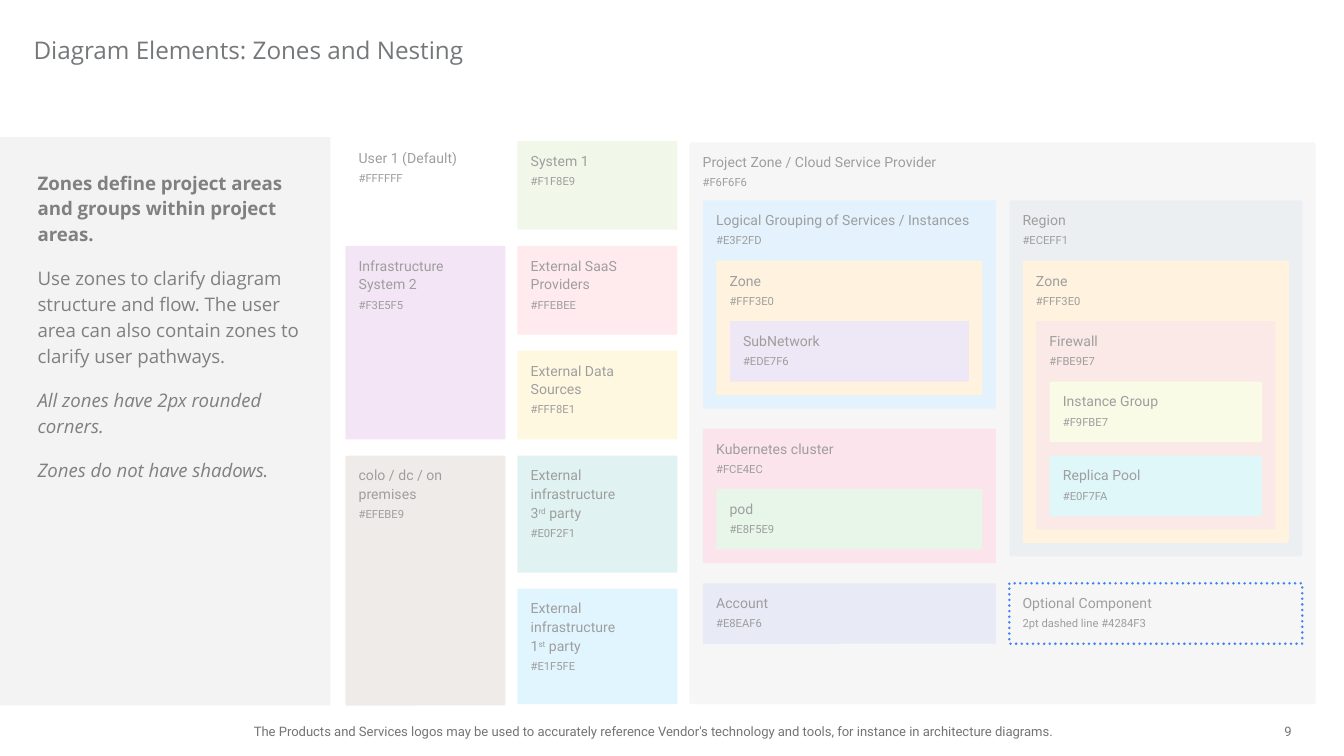
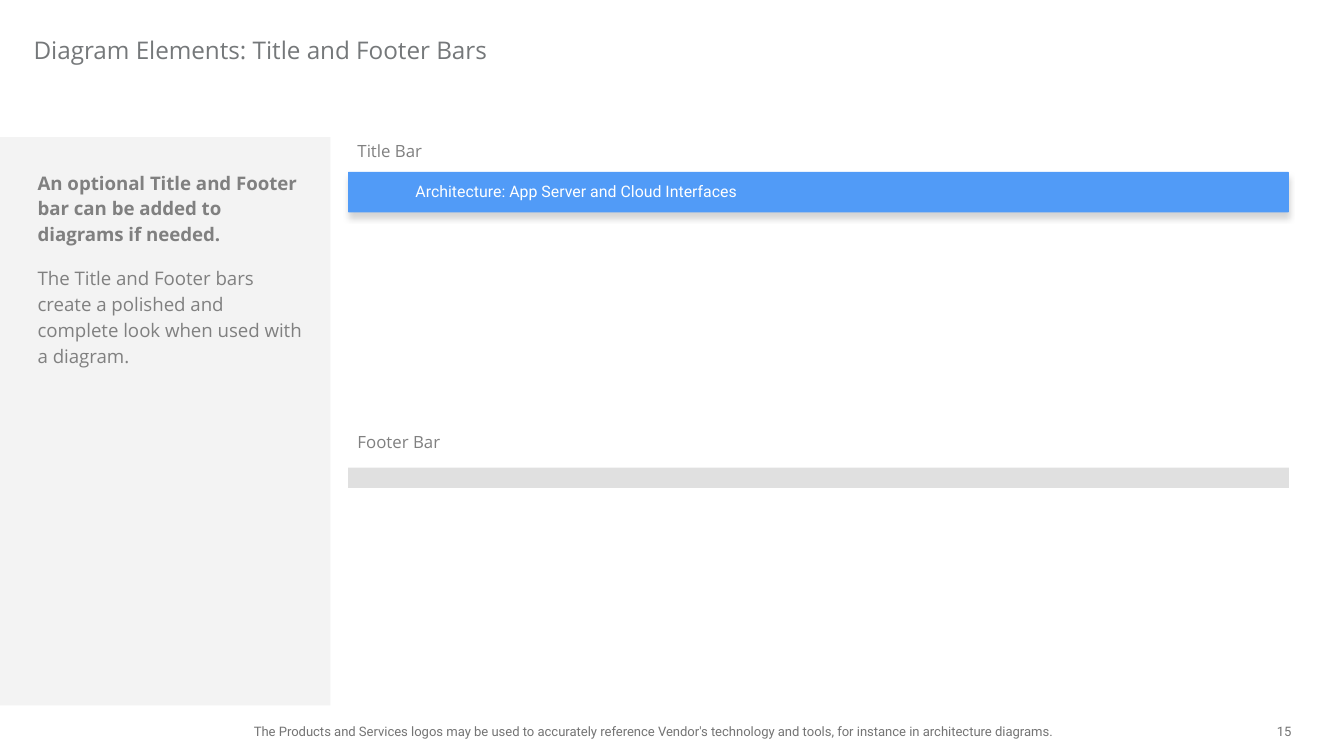
from lxml import etree
from pptx import Presentation, util as u
from pptx.dml.color import RGBColor
from pptx.enum import dml, shapes, text
from pptx.oxml.ns import qn

WIDTH = 10
HEIGHT = WIDTH * 9 / 16
COLOURS = {
    "title": "75787A", "body": "808080", "footer": "747474", "label": "9E9E9E",
    "panel": "F3F3F3", "title bar": "519BF7", "footer bar": "E0E0E0",
    "bar text": "FFFFFF", "shadow": "000000", "dots": "4284F3",
    "user": "FFFFFF", "infrastructure": "F3E5F5", "premises": "EFEBE9",
    "system": "F1F8E9", "saas": "FFEBEE", "data": "FFF8E1",
    "third party": "E0F2F1", "first party": "E1F5FE", "provider": "F6F6F6",
    "grouping": "E3F2FD", "zone": "FFF3E0", "subnetwork": "EDE7F6",
    "cluster": "FCE4EC", "pod": "E8F5E9", "account": "E8EAF6",
    "region": "ECEFF1", "firewall": "FBE9E7", "instances": "F9FBE7",
    "replicas": "E0F7FA",
}
FOOTER = ("The Products and Services logos may be used to accurately reference Vendor's "
          "technology and tools, for instance in architecture diagrams.")

# Guidance paragraphs: (text, style)
ZONES_TITLE = "Diagram Elements: Zones and Nesting"
ZONES_GUIDE = [
    ("Zones define project areas and groups within project areas.", "bold"),
    ("Use zones to clarify diagram structure and flow. The user area can also "
     "contain zones to clarify user pathways.", "plain"),
    ("All zones have 2px rounded corners.", "italic"),
    ("Zones do not have shadows.", "italic"),
]
BARS_TITLE = "Diagram Elements: Title and Footer Bars"
BARS_GUIDE = [
    ("An optional Title and Footer bar can be added to diagrams if needed.", "bold"),
    ("The Title and Footer bars create a polished and complete look when used "
     "with a diagram.", "plain"),
]
BAR_TEXT = "Architecture: App Server and Cloud Interfaces"

# Flat zones: (top, [(label, colour, height)]); ^ marks superscript
FLAT_COLUMNS = [
    (1.03, [("User 1 (Default)", "user", 0.68),
            ("Infrastructure\nSystem 2", "infrastructure", 1.44),
            ("colo / dc / on\npremises", "premises", 1.86)]),
    (1.05, [("System 1", "system", 0.66),
            ("External SaaS\nProviders", "saas", 0.66),
            ("External Data\nSources", "data", 0.66),
            ("External\ninfrastructure\n3^rd^ party", "third party", 0.87),
            ("External\ninfrastructure\n1^st^ party", "first party", 0.86)]),
]
# Nested zones: (gap, [(label, colour, children)])
NESTED_COLUMNS = [
    (0.15, [("Logical Grouping of Services / Instances", "grouping", [
                ("Zone", "zone", [("SubNetwork", "subnetwork", [])])]),
            ("Kubernetes cluster", "cluster", [("pod", "pod", [])]),
            ("Account", "account", [])]),
    (0.2, [("Region", "region", [
                ("Zone", "zone", [
                    ("Firewall", "firewall", [
                        ("Instance Group", "instances", []),
                        ("Replica Pool", "replicas", [])])])]),
           ("Optional Component", None, [])]),
]
FLAT_LEFT, FLAT_WIDTH, FLAT_PITCH, FLAT_GAP = 2.57, 1.19, 1.28, 0.12
PROVIDER = (5.13, 1.06, 4.66, 4.18)
NESTED_TOP, HEADER, PAD = 1.49, 0.45, 0.1
LABEL_INSET, LABEL_LINE = 0.07, 0.14
BAR_LEFT, BAR_WIDTH = 2.59, 7


def rgb(name):
    return RGBColor.from_string(COLOURS[name])


def inches(*lengths):
    return [u.Inches(length) for length in lengths]


def set_frame(frame, insets, anchor=text.MSO_ANCHOR.TOP):
    frame.auto_size = text.MSO_AUTO_SIZE.NONE
    frame.word_wrap = True
    frame.vertical_anchor = anchor
    (frame.margin_left, frame.margin_top,
     frame.margin_right, frame.margin_bottom) = inches(*insets)


def style(runs, font, size, colour):
    for run in runs:
        run.font.name, run.font.size = font, u.Pt(size)
        run.font.color.rgb = rgb(colour)


def place(shape, box):
    shape.left, shape.top, shape.width, shape.height = inches(*box)


def add_block(slide, box, colour, rounding=None):
    """Add a flat rectangle, rounded if asked; no colour leaves it unfilled."""
    kind = (shapes.MSO_SHAPE.RECTANGLE if rounding is None
            else shapes.MSO_SHAPE.ROUNDED_RECTANGLE)
    block = slide.shapes.add_shape(kind, *inches(*box))
    if rounding is not None:
        block.adjustments[0] = rounding
    block.shadow.inherit = False
    block.line.fill.background()
    if colour:
        block.fill.solid()
        block.fill.fore_color.rgb = rgb(colour)
    else:
        block.fill.background()
    return block


def add_line(slide, box, words, font, size, colour, inset=0,
             align=text.PP_ALIGN.LEFT, anchor=text.MSO_ANCHOR.TOP):
    """Add a text box holding one paragraph."""
    frame = slide.shapes.add_textbox(*inches(*box)).text_frame
    set_frame(frame, [inset] * 4, anchor)
    frame.text = words
    frame.paragraphs[0].alignment = align
    style(frame.paragraphs[0].runs, font, size, colour)


def add_guide_slide(deck, title, guide, number):
    """Add a slide with the shared title, side panel, guidance and footer."""
    slide = deck.slides.add_slide(deck.slide_layouts[1])
    panel = add_block(slide, (0, 1.02, 2.46, 4.23), "panel")
    slide.shapes._spTree.insert(2, panel._element)

    heading, body = slide.placeholders
    place(heading, (0.15, 0, 9.65, 0.58))
    set_frame(heading.text_frame, [0.1] * 4, text.MSO_ANCHOR.BOTTOM)
    heading.text_frame.text = title
    title_line = heading.text_frame.paragraphs[0]
    title_line.alignment, title_line.line_spacing = text.PP_ALIGN.LEFT, 1.15
    style(title_line.runs, "Open Sans", 13, "title")

    place(body, (0.18, 1.15, 2.18, 2.63))
    set_frame(body.text_frame, [0.1] * 4)
    body.text_frame.text = "\n".join(words for words, _ in guide)
    for i, (paragraph, (_, look)) in enumerate(zip(body.text_frame.paragraphs, guide)):
        paragraph.line_spacing = 1.15
        paragraph.space_before = u.Pt(10 if i else 0)
        properties = paragraph._p.get_or_add_pPr()
        properties.set("marL", "0")
        properties.set("indent", "0")
        etree.SubElement(properties, qn("a:buNone"))
        style(paragraph.runs, "Open Sans", 10, "body")
        for run in paragraph.runs:
            run.font.bold, run.font.italic = look == "bold", look == "italic"

    middle = text.MSO_ANCHOR.MIDDLE
    add_line(slide, (0.4, 5.4, 8.92, 0.08), FOOTER, "Roboto", 7, "footer",
             align=text.PP_ALIGN.CENTER, anchor=middle)
    add_line(slide, (9.17, 5.4, 0.44, 0.08), str(number), "Roboto", 7, "footer",
             align=text.PP_ALIGN.RIGHT, anchor=middle)
    return slide


def add_label(slide, left, top, width, label, caption):
    """Add a zone's name with its smaller caption on the line below."""
    lines = label.split("\n")
    height = LABEL_INSET + LABEL_LINE * (len(lines) + 1)
    frame = slide.shapes.add_textbox(*inches(left, top, width, height)).text_frame
    set_frame(frame, (0.1, LABEL_INSET, 0, 0))
    paragraph = frame.paragraphs[0]
    paragraph.line_spacing = u.Pt(10)
    for line in lines:
        for i, piece in enumerate(line.split("^")):
            run = paragraph.add_run()
            run.text = piece
            if i % 2:
                run.font._element.set("baseline", "30000")
        paragraph.add_line_break()
    style(paragraph.runs, "Roboto", 7.5, "label")
    small = paragraph.add_run()
    small.text = caption
    style([small], "Roboto", 6, "label")


def add_zone(slide, box, label, colour, rounding=0.008):
    """Add a labelled zone; one without a colour gets a dotted outline."""
    zone = add_block(slide, box, colour, rounding)
    caption = f"#{COLOURS[colour]}" if colour else f"2pt dashed line #{COLOURS['dots']}"
    if not colour:
        zone.line.color.rgb = rgb("dots")
        zone.line.width = u.Pt(1.5)
        zone.line.dash_style = dml.MSO_LINE.ROUND_DOT
        zone._element.spPr.find(qn("a:ln")).set("cap", "rnd")
    add_label(slide, *box[:3], label, caption)


def nested_height(children):
    """Height of a zone: its header, then each child followed by padding."""
    return HEADER + sum(nested_height(inner) + PAD for _, _, inner in children)


def add_nested(slide, left, top, width, zones, gap=PAD):
    for label, colour, children in zones:
        height = nested_height(children)
        add_zone(slide, (left, top, width, height), label, colour)
        add_nested(slide, left + PAD, top + HEADER, width - 2 * PAD, children)
        top += height + gap


def build_zones(deck):
    slide = add_guide_slide(deck, ZONES_TITLE, ZONES_GUIDE, 9)
    add_zone(slide, PROVIDER, "Project Zone / Cloud Service Provider", "provider", 0.004)
    for column, (top, zones) in enumerate(FLAT_COLUMNS):
        left = FLAT_LEFT + column * FLAT_PITCH
        for label, colour, height in zones:
            add_zone(slide, (left, top, FLAT_WIDTH, height), label, colour)
            top += height + FLAT_GAP

    count = len(NESTED_COLUMNS)
    width = (PROVIDER[2] - PAD * (count + 1)) / count
    for column, (gap, zones) in enumerate(NESTED_COLUMNS):
        left = PROVIDER[0] + PAD + column * (width + PAD)
        add_nested(slide, left, NESTED_TOP, width, zones, gap)


def add_soft_shadow(shape):
    effects = shape._element.spPr.find(qn("a:effectLst"))
    distance = str(u.Pt(3))
    shadow = etree.SubElement(effects, qn("a:outerShdw"), blurRad=distance,
                              dist=distance, dir="5400000", algn="t", rotWithShape="0")
    tint = etree.SubElement(shadow, qn("a:srgbClr"), val=COLOURS["shadow"])
    etree.SubElement(tint, qn("a:alpha"), val="16000")


def build_bars(deck):
    slide = add_guide_slide(deck, BARS_TITLE, BARS_GUIDE, 15)
    for name, top, width in (("Title Bar", 0.98, 5.43), ("Footer Bar", 3.14, 2.93)):
        add_line(slide, (BAR_LEFT, top, width, 0.24), name, "Open Sans", 9, "body", 0.07)
    add_block(slide, (BAR_LEFT, 3.48, BAR_WIDTH, 0.15), "footer bar")

    title_bar = add_block(slide, (BAR_LEFT, 1.28, BAR_WIDTH, 0.3), "title bar", 0.017)
    add_soft_shadow(title_bar)
    set_frame(title_bar.text_frame, (0.5, 0.07, 0, 0))
    title_bar.text_frame.text = BAR_TEXT
    bar_line = title_bar.text_frame.paragraphs[0]
    bar_line.alignment, bar_line.space_before = text.PP_ALIGN.LEFT, u.Pt(5)
    style(bar_line.runs, "Roboto", 8.5, "bar text")


def main():
    deck = Presentation()
    deck.slide_width, deck.slide_height = inches(WIDTH, HEIGHT)
    build_zones(deck)
    build_bars(deck)
    deck.save("out.pptx")


if __name__ == "__main__":
    main()
